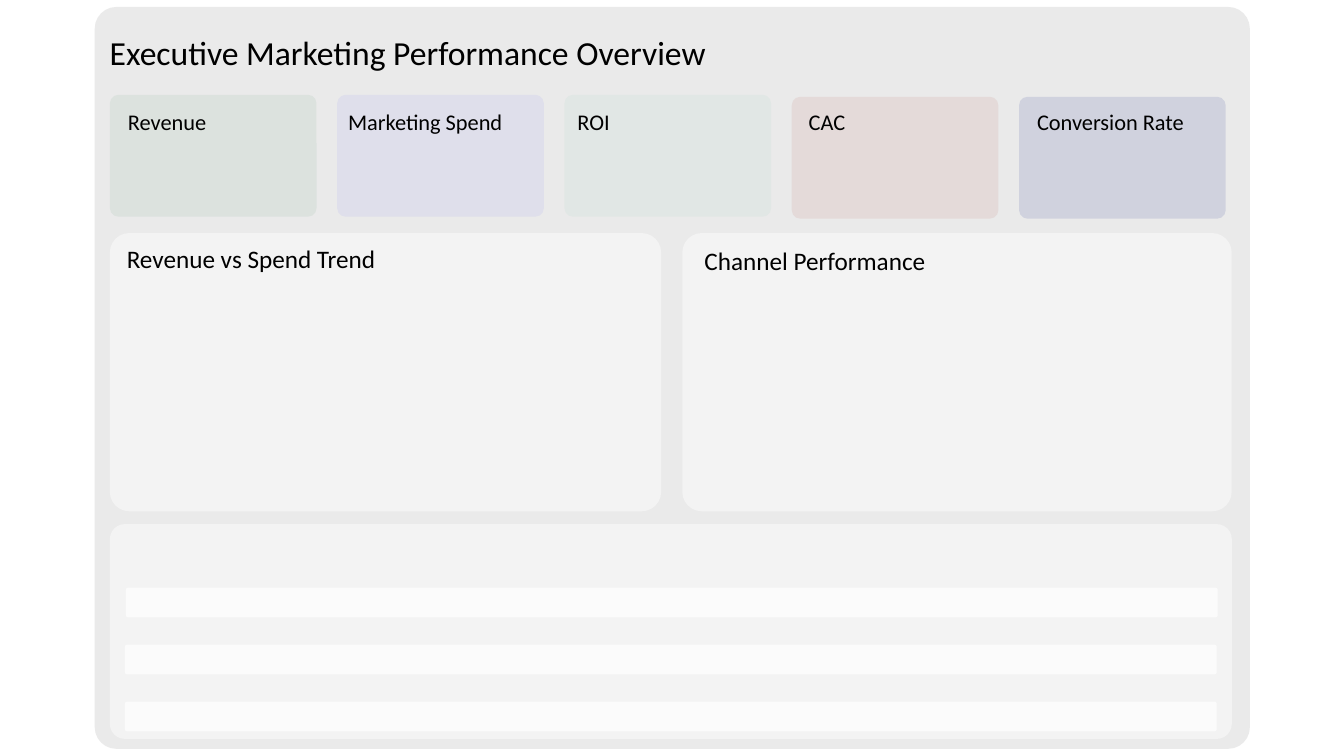
from pptx import Presentation
from pptx.dml.color import RGBColor
from pptx.enum.shapes import MSO_SHAPE
from pptx.enum.text import MSO_AUTO_SIZE
from pptx.oxml.ns import qn
from pptx.util import Pt
from lxml import etree

ROUNDED = MSO_SHAPE.ROUNDED_RECTANGLE
FIT_TEXT = MSO_AUTO_SIZE.SHAPE_TO_FIT_TEXT
FONT = "Calibri"
SECTION_COLOR = "F3F3F3"
CORNER = 0.07

# name, card colour, drop of the card, indent and width of its label
METRICS = [
    ("Revenue", "DCE2DE", 0, 5.8, 78.5),
    ("Marketing Spend", "DFDFEB", 0, 0.7, 131.8),
    ("ROI", "E1E7E5", 0, 2.2, 72.7),
    ("CAC", "E4DAD9", 1.4, 5, 67),
    ("Conversion Rate", "D0D2DE", 1.4, 5.8, 133.2),
]


def color(hex_code):
    return RGBColor.from_string(hex_code)


def add_panel(slide, left, top, width, height, fill, corner=CORNER):
    panel = slide.shapes.add_shape(ROUNDED, Pt(left), Pt(top), Pt(width), Pt(height))
    panel.adjustments[0] = corner
    panel.shadow.inherit = False
    panel.fill.solid()
    panel.fill.fore_color.rgb = color(fill)
    panel.line.fill.background()
    return panel


def add_label(slide, left, top, width, height, text, size):
    label = slide.shapes.add_textbox(Pt(left), Pt(top), Pt(width), Pt(height))
    frame = label.text_frame
    frame.word_wrap = True
    frame.auto_size = FIT_TEXT
    paragraph = frame.paragraphs[0]
    paragraph.text = text
    paragraph.font.name = FONT
    paragraph.font.size = Pt(size)
    paragraph.font.color.rgb = color("000000")


def add_dashboard(slide, left, top, width, height):
    board = add_panel(slide, left, top, width, height, "E0E0E0", 0.029)
    # Let the white page show through the board
    tint = board.fill._xPr.find(qn("a:solidFill"))[0]
    etree.SubElement(tint, qn("a:alpha"), val="65000")
    add_label(slide, left + 3.6, top + 14.4, 461.5, 36,
              "Executive Marketing Performance Overview", 24)


def add_metric_cards(slide, left, top, width, height):
    card_width = 147.6
    pitch = (width - card_width) / (len(METRICS) - 1)
    for column, (name, fill, drop, indent, label_width) in enumerate(METRICS):
        card_left = left + column * pitch
        add_panel(slide, card_left, top + drop, card_width, height, fill)
        add_label(slide, card_left + indent, top + 5.7, label_width, 25.2, name, 16)


def add_chart_section(slide, left, top, width, height, title, indent, drop, title_width):
    add_panel(slide, left, top, width, height, SECTION_COLOR)
    add_label(slide, left + indent, top + drop, title_width, 28.8, title, 18)


def add_insight_rows(slide, left, top, width, height):
    add_panel(slide, left, top, width, height, SECTION_COLOR)
    for row, indent in enumerate((11.5, 10.8, 10.8)):
        add_panel(slide, left + indent, top + 45.4 + row * 40.7,
                  width - 21.6, 21.2, "FBFBFB")


def main():
    prs = Presentation()
    prs.slide_width, prs.slide_height = Pt(960), Pt(540)
    slide = prs.slides.add_slide(prs.slide_layouts[6])

    add_dashboard(slide, 67.7, 5, 825.1, 529.9)
    add_metric_cards(slide, 78.5, 67.7, 797, 87.1)
    add_chart_section(slide, 78.5, 166.5, 393.8, 198.7,
                      "Revenue vs Spend Trend", 5, 4.1, 201.6)
    add_chart_section(slide, 487.4, 166.5, 392.4, 198.7,
                      "Channel Performance", 8.7, 4.9, 193)
    add_insight_rows(slide, 78.5, 374.4, 801.4, 153.4)

    prs.save("out.pptx")


if __name__ == "__main__":
    main()
